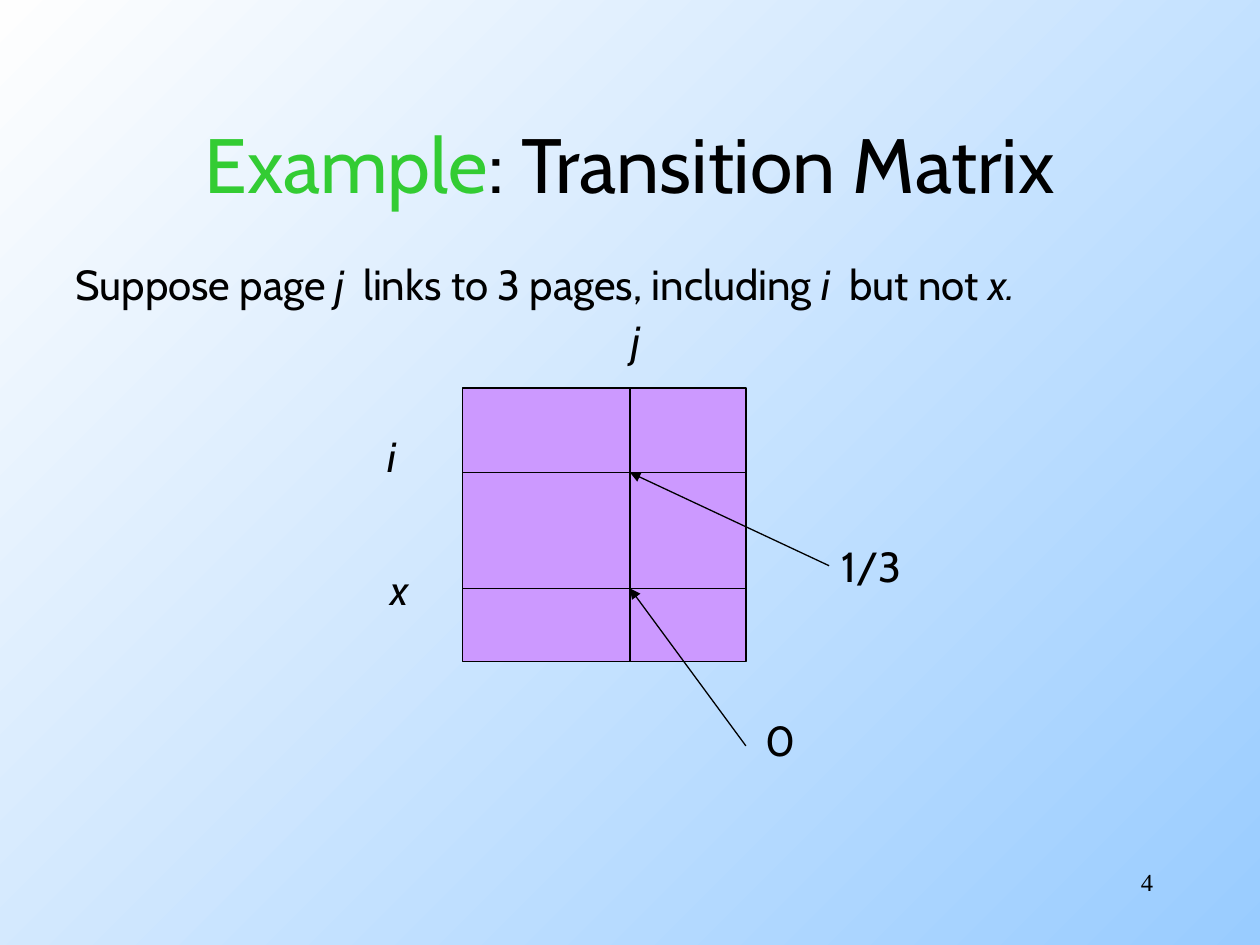
from dataclasses import dataclass
from typing import NamedTuple, Optional

from lxml import etree
from pptx import Presentation
from pptx.dml.color import RGBColor
from pptx.enum.shapes import MSO_CONNECTOR, MSO_SHAPE
from pptx.enum.text import MSO_ANCHOR, MSO_AUTO_SIZE, PP_ALIGN
from pptx.oxml.ns import qn
from pptx.util import Inches, Pt

STRAIGHT = MSO_CONNECTOR.STRAIGHT
RECTANGLE = MSO_SHAPE.RECTANGLE
MIDDLE = MSO_ANCHOR.MIDDLE
GROW, FIXED = MSO_AUTO_SIZE.SHAPE_TO_FIT_TEXT, MSO_AUTO_SIZE.NONE
LEFT, CENTER, RIGHT = PP_ALIGN.LEFT, PP_ALIGN.CENTER, PP_ALIGN.RIGHT
LEFT_SIDE = 1


@dataclass(frozen=True)
class Theme:
    ink: str = "000000"
    accent: str = "33CC33"
    matrix: str = "CC99FF"
    bg_start: str = "99CCFF"
    bg_end: str = "FEFEFE"
    font: str = "Cabin"
    number_font: str = "Times New Roman"
    title: int = 44
    text: int = 24
    number: int = 14
    line: float = 0.75


THEME = Theme()


class Run(NamedTuple):
    text: str
    italic: bool = False
    color: str = THEME.ink
    size: int = THEME.text
    font: str = THEME.font


class Box(NamedTuple):
    left: float
    top: float
    width: float
    height: float

    def lengths(self) -> list:
        return [Inches(v) for v in self]


class Label(NamedTuple):
    box: Box
    runs: list
    align: int = LEFT
    fixed: bool = False


class Point(NamedTuple):
    x: float
    y: float


MATRIX = Box(3.67, 3.08, 2.25, 2.17)
COLUMN_J, ROW_I, ROW_X = 5, 3.75, 4.67

SENTENCE = Label(Box(0.5, 2, 8.64, 0.5), [
    Run("Suppose page "), Run("j ", True),
    Run(" links to 3 pages, including "), Run("i  ", True),
    Run("but not"), Run(" x.", True),
])
THIRD = Label(Box(6.58, 4.24, 0.7, 0.5), [Run("1/3")])
LABELS = [
    SENTENCE,
    Label(Box(2.98, 3.37, 0.28, 0.5), [Run("i", True)]),
    Label(Box(4.91, 2.45, 0.28, 0.5), [Run("j", True)]),
    Label(Box(3, 4.42, 0.36, 0.5), [Run("x", True)]),
    Label(Box(5.98, 5.62, 0.39, 0.5), [Run("0")]),
    Label(Box(7.17, 6.83, 2.08, 0.5),
          [Run("4", size=THEME.number, font=THEME.number_font)], RIGHT, True),
]


def rgb(color: str) -> RGBColor:
    return RGBColor.from_string(color)


def write(tf, runs: list, align: int) -> None:
    p = tf.paragraphs[0]
    p.alignment = align
    for run in runs:
        r = p.add_run()
        r.text = run.text
        formats = {"name": run.font, "size": Pt(run.size), "italic": run.italic}
        for name, value in formats.items():
            setattr(r.font, name, value)
        r.font.color.rgb = rgb(run.color)


def add_label(s, label: Label):
    sp = s.shapes.add_textbox(*label.box.lengths())
    tf = sp.text_frame
    tf.word_wrap = label.fixed
    tf.auto_size = FIXED if label.fixed else GROW
    write(tf, label.runs, label.align)
    return sp


def add_line(s, start: Point, end: Point, arrow: bool = False, source: Optional[object] = None):
    """Draw a line; source is a shape whose left side it starts from."""
    c = s.shapes.add_connector(STRAIGHT, *[Inches(v) for v in (*start, *end)])
    if source is not None:
        c.begin_connect(source, LEFT_SIDE)
    c.line.color.rgb = rgb(THEME.ink)
    c.line.width = Pt(THEME.line)
    if arrow:
        etree.SubElement(c.line._get_or_add_ln(), qn("a:tailEnd"), type="triangle")
    etree.SubElement(c._element.spPr, qn("a:effectLst"))
    return c


def add_background(s) -> None:
    fill = s.background.fill
    fill.gradient()
    fill.gradient_angle = 135
    for stop, color in zip(fill.gradient_stops, (THEME.bg_start, THEME.bg_end)):
        stop.color.rgb = rgb(color)


def add_title(s) -> None:
    sp = s.shapes.title
    sp.left, sp.top, sp.width, sp.height = Box(0.75, 0.67, 8.5, 1.25).lengths()
    tf = sp.text_frame
    tf.vertical_anchor = MIDDLE
    tf.auto_size = FIXED
    write(tf, [Run("Example", color=THEME.accent, size=THEME.title),
               Run(": Transition Matrix", size=THEME.title)], CENTER)


def add_matrix(s) -> None:
    sp = s.shapes.add_shape(RECTANGLE, *MATRIX.lengths())
    sp.shadow.inherit = False
    sp.fill.solid()
    sp.fill.fore_color.rgb = rgb(THEME.matrix)
    sp.line.color.rgb = rgb(THEME.ink)
    sp.line.width = Pt(THEME.line)
    right, bottom = MATRIX.left + MATRIX.width, MATRIX.top + MATRIX.height
    for y in (ROW_I, ROW_X):
        add_line(s, Point(MATRIX.left, y), Point(right, y))
    add_line(s, Point(COLUMN_J, MATRIX.top), Point(COLUMN_J, bottom))


def main() -> None:
    prs = Presentation()
    prs.slide_width, prs.slide_height = Inches(10), Inches(7.5)
    s = prs.slides.add_slide(prs.slide_layouts[5])
    add_background(s)
    add_title(s)
    add_matrix(s)
    for label in LABELS:
        add_label(s, label)
    third = add_label(s, THIRD)
    add_line(s, Point(6.58, 4.5), Point(COLUMN_J, ROW_I), arrow=True, source=third)
    add_line(s, Point(5.92, 5.92), Point(COLUMN_J, ROW_X), arrow=True)
    prs.save("out.pptx")


if __name__ == "__main__":
    main()
